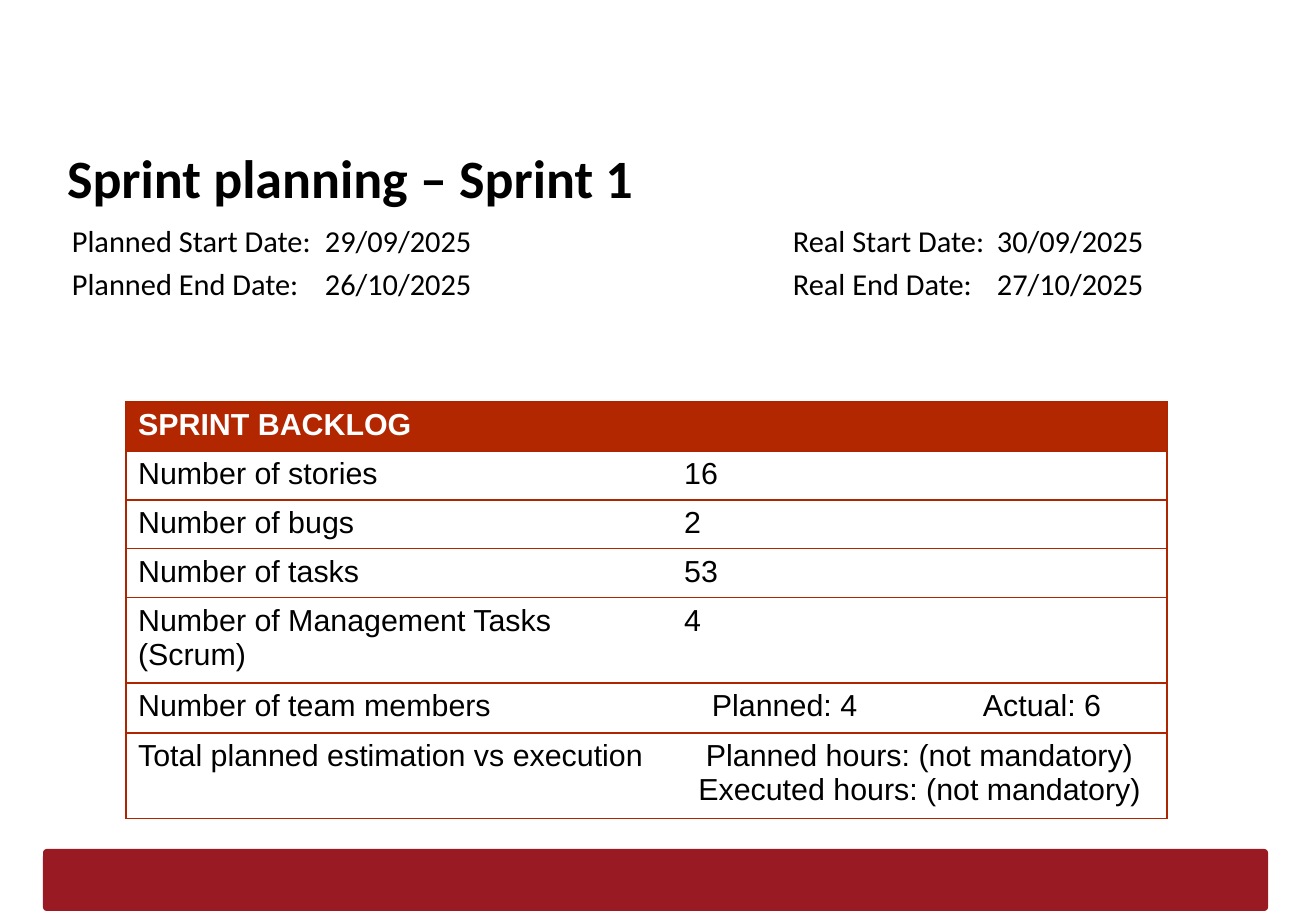
"""Build the Sprint 1 planning slide with its dates and backlog table."""
from pptx import Presentation
from pptx import util as u
from pptx.dml.color import RGBColor
from pptx.enum import shapes, text
from pptx.oxml import parse_xml
from pptx.oxml.ns import nsdecls

PX = 914400 / 121.5
BORDER = "AE2500"
BLACK, WHITE = "000000", "FFFFFF"


def px(*lengths):
    return [u.Emu(round(n * PX)) for n in lengths]


def write(tf, content, size=18, font="Arial", color=BLACK, bold=False,
          align=text.PP_ALIGN.LEFT, after=0, tabs=()):
    for i, line in enumerate(content.split("\n")):
        p = tf.paragraphs[0] if i == 0 else tf.add_paragraph()
        p.alignment = align
        p.space_after = u.Pt(after)
        if tabs:
            stops = "".join(f'<a:tab pos="{stop}" algn="l"/>' for stop in px(*tabs))
            p._p.get_or_add_pPr().append(
                parse_xml(f'<a:tabLst {nsdecls("a")}>{stops}</a:tabLst>'))
        r = p.add_run()
        r.text = line
        r.font.size, r.font.name, r.font.bold = u.Pt(size), font, bold
        r.font.color.rgb = RGBColor.from_string(color)


prs = Presentation()
prs.slide_width, prs.slide_height = px(1316, 911)
s = prs.slides.add_slide(prs.slide_layouts[5])

bar = s.shapes.add_shape(shapes.MSO_SHAPE.ROUNDED_RECTANGLE, *px(43, 849, 1225, 62))
bar.adjustments[0] = 0.06
bar.shadow.inherit = False
bar.fill.solid()
bar.fill.fore_color.rgb = RGBColor.from_string("9A1A24")
bar.line.fill.background()

title = s.shapes.title
title.left, title.top, title.width, title.height = px(55, 132, 1202, 77)
tf = title.text_frame
tf.margin_left, tf.margin_top, tf.margin_right, tf.margin_bottom = px(12, 12, 12, 12)
tf.vertical_anchor = text.MSO_ANCHOR.TOP
tf.auto_size = text.MSO_AUTO_SIZE.NONE
write(tf, "Sprint planning – Sprint 1", size=32, font="Calibri", bold=True)

dates = s.shapes.add_textbox(*px(60, 216, 1202, 95)).text_frame
dates.word_wrap = True
write(dates,
      "Planned Start Date:\t29/09/2025\tReal Start Date:\t30/09/2025\n"
      "Planned End Date:\t26/10/2025\tReal End Date:\t27/10/2025",
      font="Calibri", after=4, tabs=(253, 721, 925))

backlog = [
    ("SPRINT BACKLOG", ""),
    ("Number of stories", "16"),
    ("Number of bugs", "2"),
    ("Number of tasks", "53"),
    ("Number of Management Tasks (Scrum)", "4"),
    ("Number of team members", "Planned: 4\tActual: 6"),
    ("Total planned estimation vs execution",
     "Planned hours: (not mandatory)\nExecuted hours: (not mandatory)"),
]
heights = px(49, 49, 49, 49, 80, 50, 80)
table = s.shapes.add_table(len(backlog), 2, *px(126, 402, 1041, 406)).table
table.first_row = table.horz_banding = False
table.columns[0].width, table.columns[1].width = px(546, 495)

for row, (labels, height) in enumerate(zip(backlog, heights)):
    table.rows[row].height = height
    for col, label in enumerate(labels):
        cell = table.cell(row, col)
        header = row == 0
        inner_side = "R" if col == 0 else "L"
        for side in "LRTB":
            paint = ("<a:noFill/>" if side == inner_side else
                     f'<a:solidFill><a:srgbClr val="{BORDER}"/></a:solidFill>')
            cell._tc.get_or_add_tcPr().append(parse_xml(
                f'<a:ln{side} {nsdecls("a")} w="9525">{paint}</a:ln{side}>'))
        if header:
            cell.fill.solid()
            cell.fill.fore_color.rgb = RGBColor.from_string("B22600")
        else:
            cell.fill.background()
        tabbed = "\t" in label
        if tabbed:
            cell.margin_left, = px(40)
        if label:
            write(cell.text_frame, label, bold=header,
                  color=WHITE if header else BLACK,
                  align=text.PP_ALIGN.CENTER if "\n" in label else text.PP_ALIGN.LEFT,
                  tabs=(271,) if tabbed else ())

prs.save("out.pptx")
